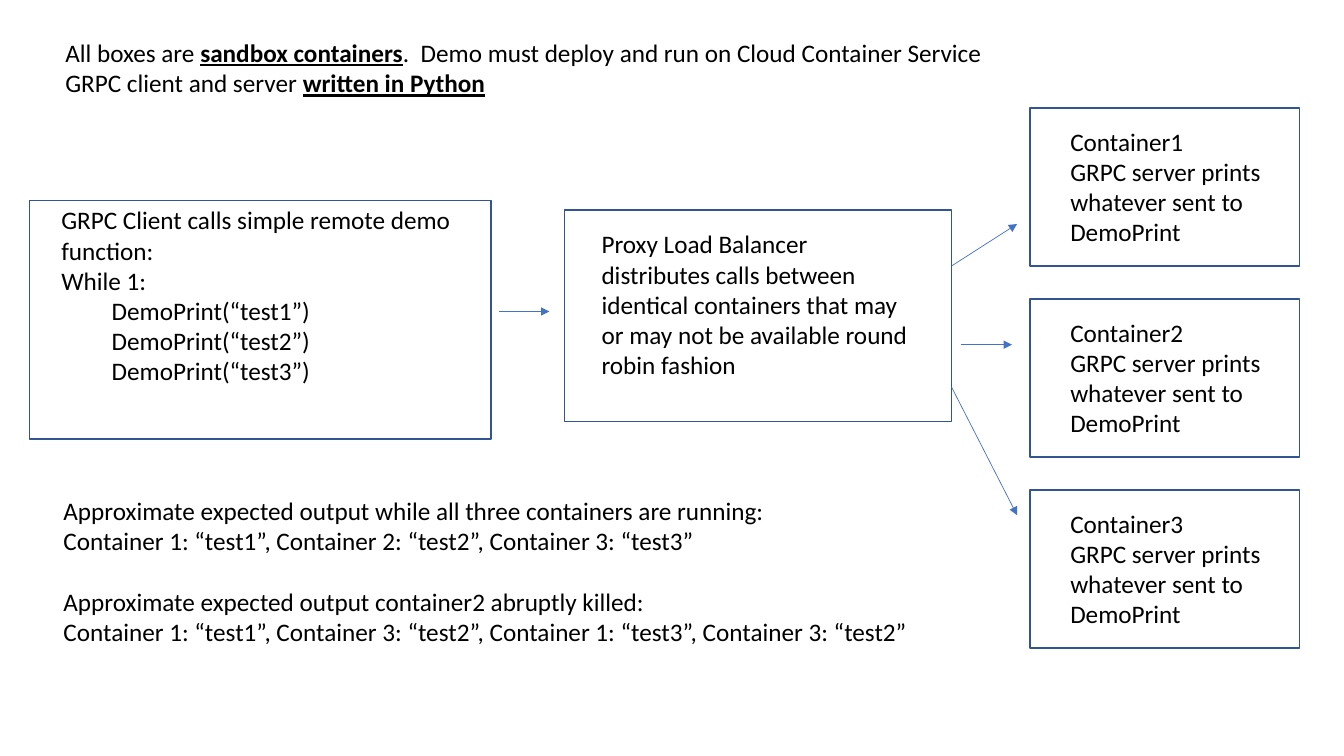
from dataclasses import dataclass

from pptx import Presentation
from pptx import util as u
from pptx.dml.color import RGBColor
from pptx.enum import shapes, text
from pptx.oxml.ns import qn
from lxml import etree


@dataclass(frozen=True)
class Theme:
    font: str = "Calibri"
    size: float = 18
    ink: RGBColor = RGBColor(0x00, 0x00, 0x00)
    border: RGBColor = RGBColor(0x32, 0x54, 0x91)
    arrow: RGBColor = RGBColor(0x44, 0x72, 0xC4)
    border_width: float = 1
    arrow_width: float = 0.5
    indent: float = 36
    line_gap: float = 22


class Diagram:
    def __init__(self, slide, theme):
        self.s, self.theme = slide, theme

    def box(self, x, y, w, h):
        sp = self.s.shapes.add_shape(
            shapes.MSO_SHAPE.RECTANGLE, u.Pt(x), u.Pt(y), u.Pt(w), u.Pt(h))
        sp.shadow.inherit = False
        sp.fill.background()
        sp.line.color.rgb = self.theme.border
        sp.line.width = u.Pt(self.theme.border_width)

    def label(self, x, y, w, h, lines):
        """Each line is a string or a list of (words, emphasised) pairs."""
        tf = self.s.shapes.add_textbox(u.Pt(x), u.Pt(y), u.Pt(w), u.Pt(h)).text_frame
        tf.word_wrap = True
        tf.auto_size = text.MSO_AUTO_SIZE.SHAPE_TO_FIT_TEXT
        for i, line in enumerate(lines):
            p = tf.add_paragraph() if i else tf.paragraphs[0]
            p.font.name = self.theme.font
            p.font.size = u.Pt(self.theme.size)
            p.font.color.rgb = self.theme.ink
            for words, strong in [(line, False)] if isinstance(line, str) else line:
                r = p.add_run()
                r.text = words
                if strong:
                    r.font.bold = r.font.underline = True
        return tf.paragraphs

    def indent(self, p):
        p._p.get_or_add_pPr().set("marL", str(u.Pt(self.theme.indent)))

    def arrow(self, x1, y1, x2, y2):
        c = self.s.shapes.add_connector(
            shapes.MSO_CONNECTOR.STRAIGHT, u.Pt(x1), u.Pt(y1), u.Pt(x2), u.Pt(y2))
        c.line.color.rgb = self.theme.arrow
        c.line.width = u.Pt(self.theme.arrow_width)
        etree.SubElement(c.line._get_or_add_ln(), qn("a:tailEnd"), type="triangle")
        etree.SubElement(c._element.spPr, qn("a:effectLst"))


def main():
    prs = Presentation()
    prs.slide_width, prs.slide_height = u.Pt(960), u.Pt(540)
    d = Diagram(prs.slides.add_slide(prs.slide_layouts[6]), Theme())

    # Client
    d.box(20.9, 143, 330, 170.5)
    calls = [f"DemoPrint(“test{n}”)" for n in (1, 2, 3)]
    client = d.label(36.7, 142.6, 320, 160, [
        "GRPC Client calls simple remote demo function:", "While 1:", *calls])
    for p in client[-len(calls):]:
        d.indent(p)

    # Load balancer
    d.box(403.2, 150, 276.5, 151)
    d.label(422.6, 159.8, 239, 116.6, [
        "Proxy Load Balancer distributes calls between identical containers "
        "that may or may not be available round robin fashion"])

    # Server containers
    for i in range(3):
        y = 77.2 + i * 136.4
        d.box(735.8, y, 192.4, 113)
        d.label(757.4, y + 9.2, 198, 94.3, [
            f"Container{i + 1}", "GRPC server prints whatever sent to DemoPrint"])

    # Call flow
    for ends in [(356.4, 222.5, 392.4, 222.5), (679.7, 190, 726.5, 160),
                 (686.2, 246.2, 722.9, 246.2), (679.7, 276.5, 726.5, 368)]:
        d.arrow(*ends)

    # Expected output
    output = d.label(38.2, 350, 624, 160, [
        "Approximate expected output while all three containers are running:",
        "Container 1: “test1”, Container 2: “test2”, Container 3: “test3”",
        "Approximate expected output container2 abruptly killed:",
        "Container 1: “test1”, Container 3: “test2”, Container 1: “test3”, "
        "Container 3: “test2”"])
    output[2].space_before = u.Pt(d.theme.line_gap)

    # Requirements
    d.label(39.6, 23, 690, 51, [
        [("All boxes are ", False), ("sandbox containers", True),
         (".  Demo must deploy and run on Cloud Container Service", False)],
        [("GRPC client and server ", False), ("written in Python", True)]])

    prs.save("out.pptx")


if __name__ == "__main__":
    main()
